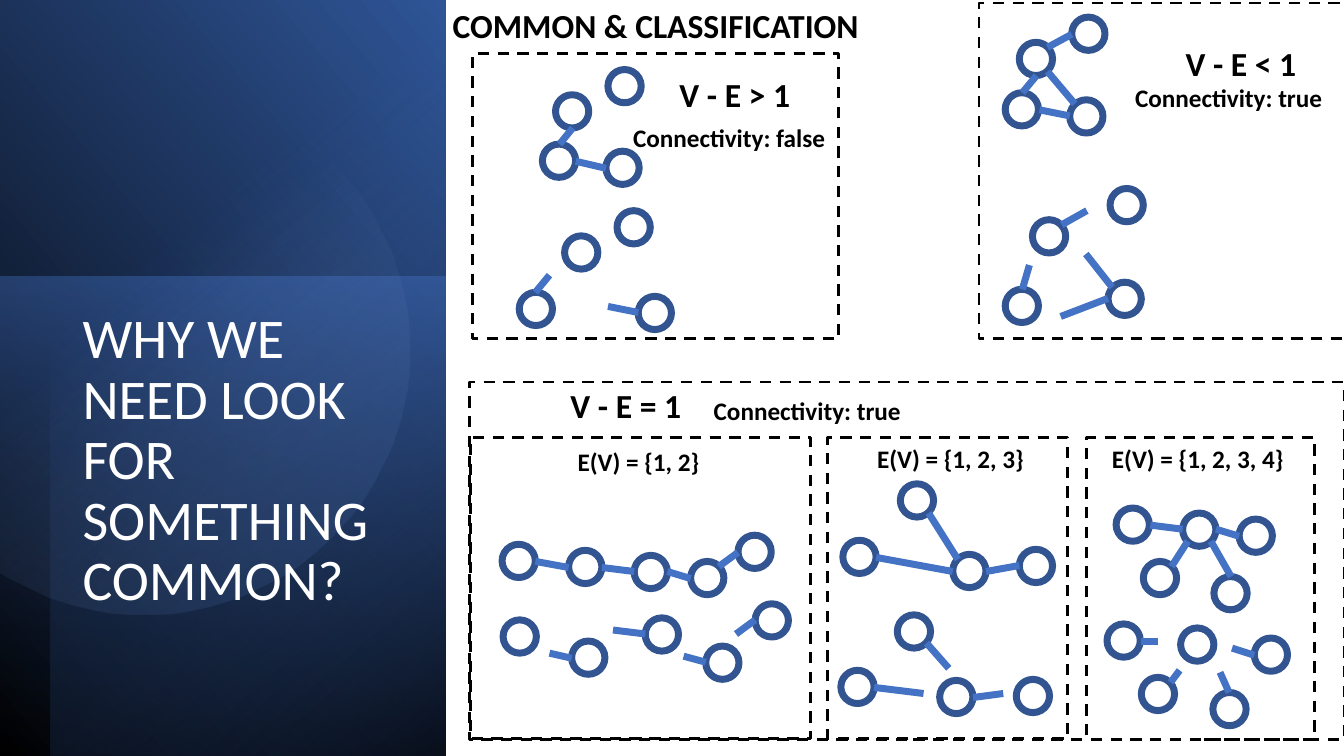
import math
from lxml import etree
from pptx import Presentation
from pptx.dml.color import RGBColor
from pptx.enum.dml import MSO_LINE
from pptx.enum.shapes import MSO_CONNECTOR, MSO_SHAPE
from pptx.enum.text import MSO_ANCHOR
from pptx.oxml.ns import qn
from pptx.util import Pt

RECT, OVAL = MSO_SHAPE.RECTANGLE, MSO_SHAPE.OVAL
LINE, DASH, TOP = MSO_CONNECTOR.STRAIGHT, MSO_LINE.DASH, MSO_ANCHOR.TOP
PX = 9144  # 100 px to the inch
NODE = 33
INK = {"black": "000000", "white": "FFFFFF", "ring": "325491", "edge": "4472C4",
       "deep": "2F5597", "navy": "203864", "pale": "8FAADC"}

deck = Presentation()
deck.slide_width, deck.slide_height = 1333 * PX, 750 * PX
slide = deck.slides.add_slide(deck.slide_layouts[6])
shapes = slide.shapes


def fade(shape, angle, stops):
    """Gradient of (position, colour, opacity) stops, all in percent."""
    shape.shadow.inherit = False
    shape.line.fill.background()
    shape.fill.gradient()
    grad = shape._element.spPr.find(qn("a:gradFill"))
    grad.find(qn("a:lin")).set("ang", str(angle * 60000))
    rows = grad.find(qn("a:gsLst"))
    for old in list(rows):
        rows.remove(old)
    for place, name, alpha in stops:
        stop = etree.SubElement(rows, qn("a:gs"), pos=str(place * 1000))
        tint = etree.SubElement(stop, qn("a:srgbClr"), val=INK[name])
        etree.SubElement(tint, qn("a:alpha"), val=str(alpha * 1000))


def write(text, x, y, w, h, size=18, color="black", bold=True, wrap=False, space=None):
    box = shapes.add_textbox(x * PX, y * PX, w * PX, h * PX)
    frame = box.text_frame
    frame.word_wrap, frame.vertical_anchor = wrap, TOP
    para = frame.paragraphs[0]
    para.text = text
    para.line_spacing = space
    font = para.font
    font.name, font.size, font.bold = "Calibri", Pt(size), bold
    font.color.rgb = RGBColor.from_string(INK[color])


# Left panel: three turned gradient layers
layers = [
    ((-155, 155, 752, 442), 90, True, 310, [(0, "black", 100), (100, "deep", 100)]),
    ((-17, 291, 476, 442), 270, False, 190, [(0, "edge", 50), (100, "navy", 0)]),
    ((-129, 179, 750, 392), 270, True, 220, [(0, "black", 59), (69, "edge", 0)]),
]
for area, turn, flip, angle, stops in layers:
    layer = shapes.add_shape(RECT, *[n * PX for n in area])
    layer.rotation = turn
    if flip:
        layer._element.spPr.xfrm.set("flipH", "1")
    fade(layer, angle, stops)

# Large disc, cut off by the left edge of the slide
mid_x, mid_y, radius = 143, 347, 263
arc = [(max(0, round(mid_x + radius * math.cos(math.radians(a)))),
        round(mid_y + radius * math.sin(math.radians(a)))) for a in range(-123, 124, 3)]
path = shapes.build_freeform(*arc[0], scale=PX)
path.add_line_segments(arc[1:], close=True)
fade(path.convert_to_shape(), 52, [(39, "pale", 0), (100, "deep", 26)])

write("WHY WE NEED LOOK FOR SOMETHING COMMON?", 72, 303, 315, 336,
      size=40, color="white", bold=False, wrap=True, space=0.9)

# Dashed frames
frames = [(1078, 434, 226, 300), (821, 434, 238, 299), (467, 434, 337, 299),
          (466, 379, 867, 355), (971, 3, 363, 333), (469, 53, 363, 283)]
for area in frames:
    frame = shapes.add_shape(RECT, *[n * PX for n in area])
    frame.shadow.inherit = False
    frame.fill.background()
    frame.line.color.rgb = RGBColor.from_string(INK["black"])
    frame.line.width, frame.line.dash_style = Pt(2), DASH

# Graphs: grouped or not, node corners, edge ends
graphs = [
    # V - E > 1
    (False, [(538, 143), (551, 94), (601, 150), (603, 69)],
     [(555, 143, 568, 127), (571, 160, 601, 167)]),
    (True, [(515, 290), (560, 234), (633, 294), (612, 209)],
     [(531, 290, 545, 273), (603, 304, 633, 310)]),
    # V - E < 1
    (False, [(997, 92), (1011, 42), (1061, 99), (1063, 17)],
     [(1014, 92, 1028, 75), (1039, 71, 1066, 103),
      (1031, 109, 1061, 115), (1039, 47, 1063, 34)]),
    (True, [(997, 287), (1024, 218), (1099, 280), (1101, 187)],
     [(1014, 287, 1021, 263), (1077, 252, 1103, 285),
      (1052, 314, 1099, 296), (1053, 223, 1078, 209)]),
    # E(V) = {1, 2}
    (False, [(498, 540), (564, 546), (629, 551), (685, 557), (732, 531)],
     [(531, 557, 564, 563), (629, 567, 597, 563),
      (685, 574, 662, 567), (732, 548, 713, 562)]),
    (True, [(499, 615), (567, 636), (640, 613), (700, 641), (749, 599)],
     [(545, 648, 567, 653), (640, 629, 608, 625),
      (700, 657, 678, 651), (749, 615, 730, 629)]),
    # E(V) = {1, 2, 3}
    (False, [(836, 536), (945, 550), (893, 480), (1011, 545)],
     [(869, 553, 945, 567), (950, 555, 921, 509), (1011, 561, 978, 567)]),
    (True, [(834, 665), (932, 675), (890, 610), (1008, 674)],
     [(867, 682, 916, 688), (941, 663, 919, 638), (995, 688, 965, 692)]),
    # E(V) = {1, 2, 3, 4}
    (False, [(1173, 509), (1107, 504), (1229, 515), (1134, 557), (1204, 572)],
     [(1173, 525, 1141, 521), (1229, 532, 1206, 525),
      (1178, 537, 1162, 562), (1221, 572, 1201, 537)]),
    (True, [(1171, 623), (1098, 619), (1244, 633), (1132, 672), (1203, 687)],
     [(1149, 636, 1132, 636), (1244, 650, 1222, 643),
      (1170, 665, 1161, 677), (1219, 687, 1210, 667)]),
]
for grouped, nodes, edges in graphs:
    home = shapes.add_group_shape().shapes if grouped else shapes
    for x, y in nodes:
        node = home.add_shape(OVAL, x * PX, y * PX, NODE * PX, NODE * PX)
        node.shadow.inherit = False
        node.fill.background()
        node.line.color.rgb = RGBColor.from_string(INK["ring"])
        node.line.width = Pt(5)
    for ends in edges:
        edge = home.add_connector(LINE, *[n * PX for n in ends])
        edge.line.color.rgb = RGBColor.from_string(INK["edge"])
        edge.line.width = Pt(5)
        etree.SubElement(edge._element.spPr, qn("a:effectLst"))

# Headings and labels
write("COMMON & CLASSIFICATION", 439, 0, 427, 50, size=24)
for text, x, y in [("V - E > 1", 664, 68), ("V - E < 1", 1166, 38), ("V - E = 1", 556, 377)]:
    write(text, x, y, 131, 50, size=24)
labels = [("Connectivity: false", 618, 116, 218), ("Connectivity: true", 1116, 77, 213),
          ("Connectivity: true", 698, 387, 213), ("E(V) = {1, 2}", 563, 438, 143),
          ("E(V) = {1, 2, 3}", 860, 435, 168), ("E(V) = {1, 2, 3, 4}", 1093, 435, 193)]
for text, x, y, w in labels:
    write(text, x, y, w, 40)

deck.save("out.pptx")
